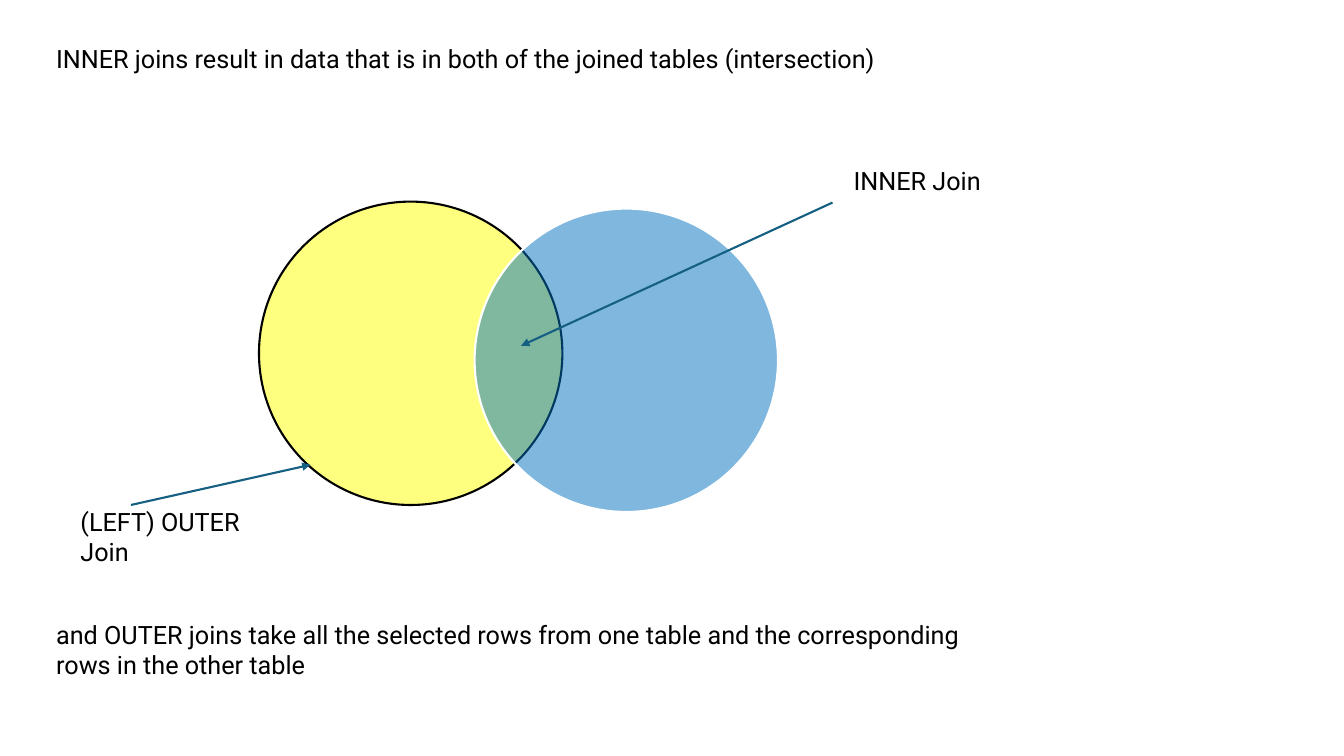
from pptx import Presentation
from pptx.dml.color import RGBColor as RGB
from pptx.enum.shapes import MSO_CONNECTOR as Conn, MSO_SHAPE as Kind
from pptx.enum.text import MSO_AUTO_SIZE as Fit, PP_ALIGN as Align
from pptx.oxml.ns import qn
from pptx.util import Pt
from lxml.etree import SubElement as Sub

BLACK = RGB(0, 0, 0)
WHITE = RGB(255, 255, 255)
YELLOW = RGB(255, 255, 0)
BLUE = RGB(0, 112, 192)
TEAL = RGB(21, 96, 130)

FONT = {"name": "Roboto", "size": Pt(18)}
FRAME = {"word_wrap": True, "auto_size": Fit.SHAPE_TO_FIT_TEXT}


def apply(item, form):
    for name, value in form.items():
        setattr(item, name, value)


class Page:
    def __init__(self, slide, font, frame, width=1.5):
        self.slide = slide
        self.font = font
        self.frame = frame
        self.width = Pt(width)

    def stroke(self, line, color):
        line.color.rgb = color
        line.width = self.width

    def text(self, x, y, w, h, *lines, gap=0):
        box = self.slide.shapes.add_textbox(Pt(x), Pt(y), Pt(w), Pt(h))
        frame = box.text_frame
        apply(frame, self.frame)
        frame.text = "\n".join(lines)
        for i, para in enumerate(frame.paragraphs):
            apply(para, {"alignment": Align.LEFT, "space_before": Pt(gap if i else 0)})
            run = para.runs[0].font
            apply(run, self.font)
            run.color.rgb = BLACK

    def disc(self, group, x, y, size, fill, edge, alpha=50):
        disc = group.shapes.add_shape(Kind.OVAL, Pt(x), Pt(y), Pt(size), Pt(size))
        disc.shadow.inherit = False
        disc.fill.solid()
        disc.fill.fore_color.rgb = fill
        tint = disc.fill._xPr.find(qn("a:solidFill"))[0]
        Sub(tint, qn("a:alpha"), val=str(alpha * 1000))
        self.stroke(disc.line, edge)

    def arrow(self, x1, y1, x2, y2, color):
        link = self.slide.shapes.add_connector(
            Conn.STRAIGHT, Pt(x1), Pt(y1), Pt(x2), Pt(y2))
        self.stroke(link.line, color)
        Sub(link.line._get_or_add_ln(), qn("a:tailEnd"), type="triangle")
        Sub(link._element.spPr, qn("a:effectLst"))


def main():
    deck = Presentation()
    apply(deck, {"slide_width": Pt(960), "slide_height": Pt(540)})
    slide = deck.slides.add_slide(deck.slide_layouts[6])
    page = Page(slide, FONT, FRAME)

    # Explanation above and below the diagram
    page.text(33, 27.4, 692.6, 465,
              "INNER joins result in data that is in both of the joined tables (intersection)",
              "and OUTER joins take all the selected rows from one table "
              "and the corresponding rows in the other table",
              gap=389.6)

    # Overlapping tables
    venn = slide.shapes.add_group_shape()
    page.disc(venn, 185, 144, 216.7, YELLOW, BLACK)
    page.disc(venn, 339, 149, 216.7, BLUE, WHITE)

    # Arrows and their labels
    page.arrow(594.7, 144.7, 372.2, 247, TEAL)
    page.arrow(93.6, 360.7, 221.8, 332, TEAL)
    page.text(602.6, 114.5, 171.4, 28.8, "INNER Join")
    page.text(50.4, 357.8, 161.3, 28.8, "(LEFT) OUTER Join")

    deck.save("out.pptx")


if __name__ == "__main__":
    main()
